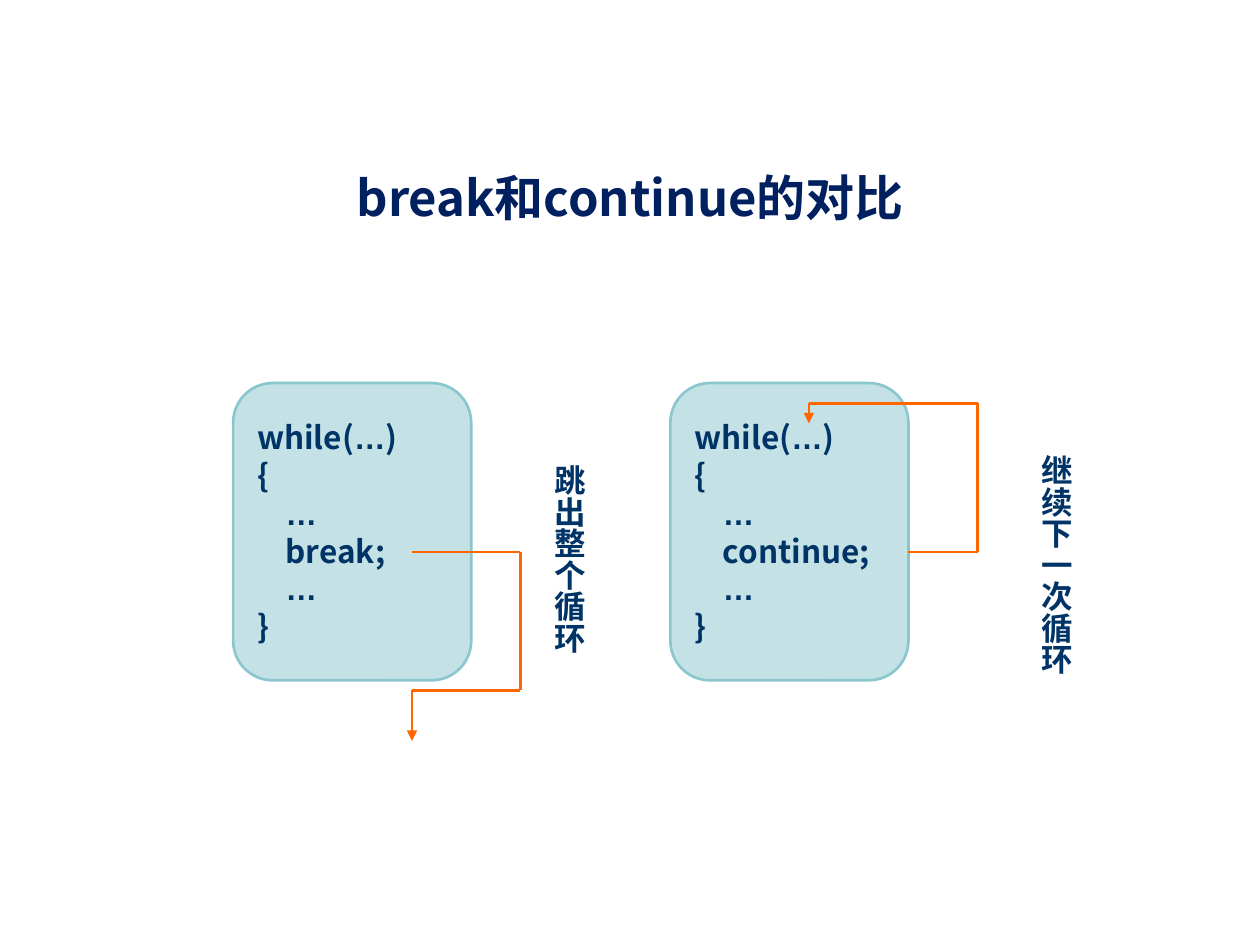
from itertools import pairwise

from lxml import etree
from pptx import Presentation
from pptx.dml.color import RGBColor
from pptx.enum.shapes import MSO_CONNECTOR, MSO_SHAPE
from pptx.enum.text import MSO_ANCHOR, PP_ALIGN
from pptx.oxml.ns import qn
from pptx.util import Inches, Pt

STRAIGHT = MSO_CONNECTOR.STRAIGHT
PROCESS = MSO_SHAPE.FLOWCHART_ALTERNATE_PROCESS
MIDDLE, TOP = MSO_ANCHOR.MIDDLE, MSO_ANCHOR.TOP
LEFT, CENTER = PP_ALIGN.LEFT, PP_ALIGN.CENTER
COLORS = {"title": "002060", "text": "003366", "box": "8AC6CD", "flow": "FF6600"}
CJK, LATIN = "Noto Sans CJK SC", "Arial"
ELLIPSIS = "…"


def rgb(name):
    return RGBColor.from_string(COLORS[name])


class SlideBuilder:
    """Holds the current slide and its shared text and line style."""

    def __init__(self, slide, size=18, line_width=1.5):
        self.slide = slide
        self.size = size
        self.line_width = line_width

    def place(self, sp, left, top, width, height):
        sp.left, sp.top = Inches(left), Inches(top)
        sp.width, sp.height = Inches(width), Inches(height)

    def run(self, p, text, font=CJK, size=None, color="text"):
        r = p.add_run()
        r.text = text
        r.font.name = font
        r.font.size = Pt(size or self.size)
        r.font.bold = True
        r.font.color.rgb = rgb(color)
        etree.SubElement(r.font._element, qn("a:ea"), typeface=CJK)

    def title(self, text, *box):
        sp = self.slide.shapes.title
        self.place(sp, *box)
        tf = sp.text_frame
        tf.vertical_anchor = TOP
        p = tf.paragraphs[0]
        p.alignment = CENTER
        self.run(p, text, size=28, color="title")

    def code_box(self, lines, *box):
        sp = self.slide.shapes.add_shape(PROCESS, *map(Inches, box))
        sp.shadow.inherit = False
        sp.fill.solid()
        sp.fill.fore_color.rgb = rgb("box")
        fill_color = sp.fill._xPr.find(qn("a:solidFill"))[0]
        etree.SubElement(fill_color, qn("a:alpha"), val="50000")
        sp.line.color.rgb = rgb("box")
        sp.line.width = Pt(self.line_width)
        tf = sp.text_frame
        tf.word_wrap = True
        tf.vertical_anchor = MIDDLE
        for i, line in enumerate(lines):
            p = tf.add_paragraph() if i else tf.paragraphs[0]
            p.alignment = LEFT
            before, dots, after = line.partition(ELLIPSIS)
            for text, font in ((before, CJK), (dots, LATIN), (after, CJK)):
                if text:
                    self.run(p, text, font)

    def vertical_label(self, text, *box):
        sp = self.slide.shapes.add_textbox(*map(Inches, box))
        tf = sp.text_frame
        tf.word_wrap = True
        tf.margin_left = tf.margin_right = Inches(0.05)
        tf.margin_top = tf.margin_bottom = Inches(0.1)
        tf._txBody.bodyPr.set("vert", "eaVert")
        p = tf.paragraphs[0]
        p.alignment = CENTER
        self.run(p, text, LATIN)

    def flow(self, points):
        """Join the points with straight lines, the last one an arrow."""
        for start, end in pairwise(points):
            line = self.slide.shapes.add_connector(
                STRAIGHT, *map(Inches, start + end))
            line.line.color.rgb = rgb("flow")
            line.line.width = Pt(self.line_width)
            etree.SubElement(line._element.spPr, qn("a:effectLst"))
        etree.SubElement(line.line._get_or_add_ln(), qn("a:tailEnd"), type="triangle")


def main():
    prs = Presentation()
    prs.slide_width, prs.slide_height = Inches(10), Inches(7.5)
    s = SlideBuilder(prs.slides.add_slide(prs.slide_layouts[5]))
    s.title("break和continue的对比", 1.22, 1.28, 7.56, 0.57)

    for left, keyword in ((1.85, "break"), (5.32, "continue")):
        code = ["while(…)", "{", "    …", f"    {keyword};", "    …", "}"]
        s.code_box(code, left, 3.04, 1.89, 2.36)

    keyword_y = 4.38
    s.flow([(3.27, keyword_y), (4.13, keyword_y), (4.13, 5.48),
            (3.27, 5.48), (3.27, 5.88)])
    s.vertical_label("跳出整个循环", 4.22, 3.59, 0.5, 1.97)
    s.flow([(7.21, keyword_y), (7.76, keyword_y), (7.76, 3.2),
            (6.42, 3.2), (6.42, 3.36)])
    s.vertical_label("继续下一次循环", 8.08, 3.51, 0.5, 1.97)
    prs.save("out.pptx")


if __name__ == "__main__":
    main()
